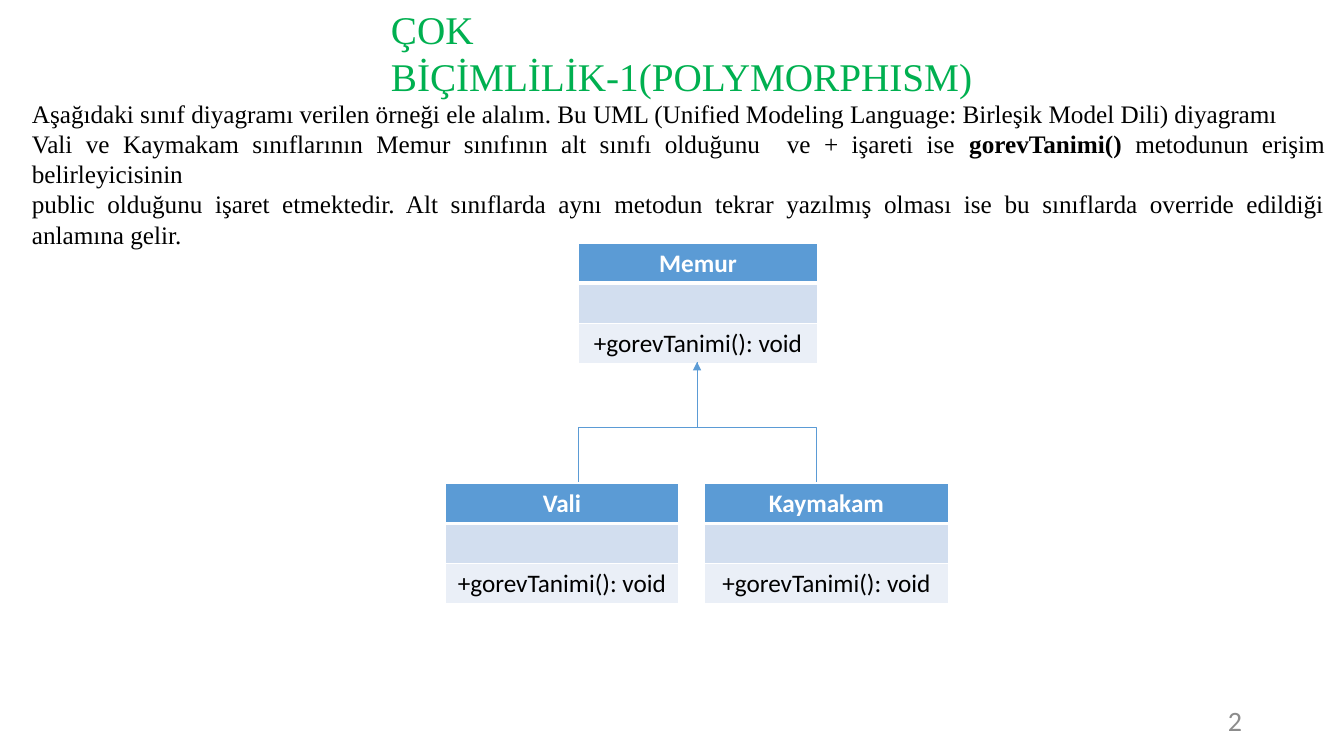
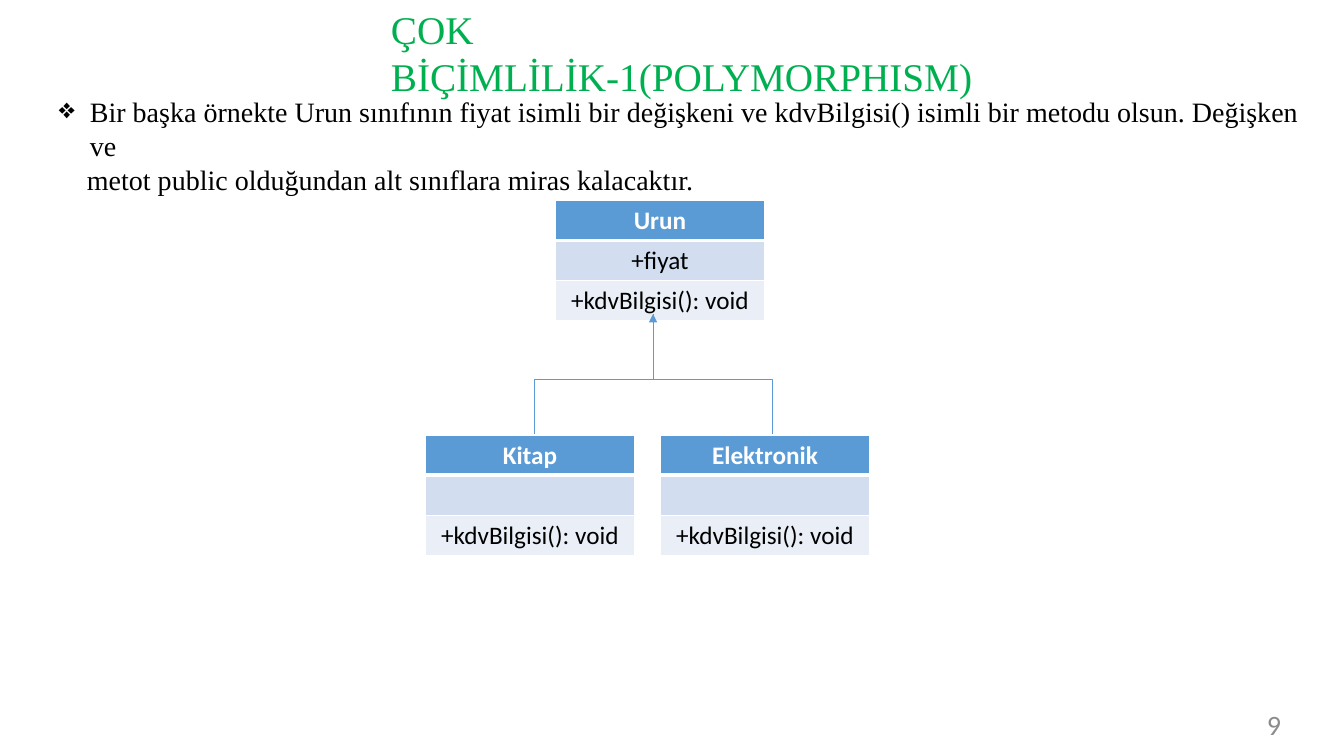
from pptx import Presentation
from pptx.dml.color import RGBColor
from pptx.enum.shapes import MSO_CONNECTOR
from pptx.enum.text import MSO_ANCHOR, PP_ALIGN
from pptx.oxml.ns import qn
from pptx.util import Emu, Pt
from lxml.etree import SubElement

PIXEL = 914400 / 100.8
SERIF, SANS = "Times New Roman", "Calibri"
COLORS = {
    "title": "00B050", "ink": "000000", "number": "8C8C8C", "white": "FFFFFF",
    "header": "5B9BD5", "attribute": "D2DEEF", "method": "EAEFF7",
}
ROW_FILLS = ("header", "attribute", "method")
ROW_HEIGHT = 40
BULLET_INDENT = 31
BOLD_MARK = "**"


def px(pixels):
    return Emu(round(pixels * PIXEL))


def rgb(name):
    return RGBColor.from_string(COLORS[name])


def write(frame, *paragraphs, font=SERIF, size=18, color="ink", bold=False,
          align=PP_ALIGN.LEFT, anchor=MSO_ANCHOR.TOP):
    frame.word_wrap = True
    frame.vertical_anchor = anchor
    for index, content in enumerate(paragraphs):
        paragraph = frame.add_paragraph() if index else frame.paragraphs[0]
        paragraph.alignment = align
        for part, words in enumerate(content.split(BOLD_MARK)):
            run = paragraph.add_run()
            run.text = words
            run.font.name, run.font.size = font, Pt(size)
            run.font.bold = bold or part % 2 == 1
            run.font.color.rgb = rgb(color)
    return frame


def add_text(slide, box, *paragraphs, **style):
    area = slide.shapes.add_textbox(*map(px, box))
    return write(area.text_frame, *paragraphs, **style)


def indent(paragraph, left, first=0, bullet=None):
    properties = paragraph._p.get_or_add_pPr()
    properties.set("marL", str(px(left)))
    properties.set("indent", str(px(first)))
    if bullet:
        SubElement(properties, qn("a:buChar"), char=bullet)


def add_borders(cell, bottom):
    properties = cell._tc.get_or_add_tcPr()
    for side, width in (("L", 1), ("R", 1), ("T", 1), ("B", bottom)):
        edge = SubElement(properties, qn(f"a:ln{side}"), w=str(Pt(width)))
        paint = SubElement(edge, qn("a:solidFill"))
        SubElement(paint, qn("a:srgbClr"), val=COLORS["white"])


def add_class(slide, left, top, width, name, attribute, method):
    box = map(px, (left, top, width, ROW_HEIGHT * 3))
    table = slide.shapes.add_table(3, 1, *box).table
    for row, (words, fill) in enumerate(zip((name, attribute, method), ROW_FILLS)):
        heading = row == 0
        cell = table.cell(row, 0)
        add_borders(cell, 3 if heading else 1)
        cell.fill.solid()
        cell.fill.fore_color.rgb = rgb(fill)
        if words:
            write(cell.text_frame, words, font=SANS, bold=heading,
                  color="white" if heading else "ink", align=PP_ALIGN.CENTER)


def add_inheritance(slide, start, tip, arrow=False):
    (start_x, start_y), (tip_x, tip_y) = start, tip
    center_x, center_y = (start_x + tip_x) / 2, (start_y + tip_y) / 2
    rise, run = (start_y - tip_y) / 2, abs(tip_x - start_x) / 2
    side = 1 if start_x < tip_x else -1
    ends = (center_x + side * rise, center_y + run,
            center_x - side * rise, center_y - run)
    link = slide.shapes.add_connector(MSO_CONNECTOR.ELBOW, *map(px, ends))
    link.line.color.rgb = rgb("header")
    link.line.width = Pt(0.5)
    properties = link._element.spPr
    quarter_turns = 1 if side == 1 else 3
    properties.find(qn("a:xfrm")).set("rot", str(quarter_turns * 5400000))
    if arrow:
        SubElement(link.line._get_or_add_ln(), qn("a:tailEnd"), type="triangle")
    SubElement(properties, qn("a:effectLst"))


def add_hierarchy(slide, parent, children, tip, reach):
    add_class(slide, *parent)
    tip_x, tip_y = tip
    for side in (-1, 1):
        start = (tip_x + side * reach, tip_y + 131)
        add_inheritance(slide, start, tip, arrow=side == -1)
    for child in children:
        add_class(slide, *child)


def add_page(deck, number, number_left, number_top):
    slide = deck.slides.add_slide(deck.slide_layouts[6])
    add_text(slide, (381, 0, 680, 58), "ÇOK BİÇİMLİLİK-1(POLYMORPHISM)",
             size=28, color="title")
    add_text(slide, (number_left, number_top, 302, 40), number, font=SANS,
             size=20, color="number", align=PP_ALIGN.RIGHT,
             anchor=MSO_ANCHOR.MIDDLE)
    return slide


def add_officials(deck):
    slide = add_page(deck, "2", 950, 700)
    add_text(
        slide, (22, 93, 1313, 102),
        "Aşağıdaki sınıf diyagramı verilen örneği ele alalım. Bu UML (Unified "
        "Modeling Language: Birleşik Model Dili) diyagramı ",
        "Vali ve Kaymakam sınıflarının Memur sınıfının alt sınıfı olduğunu  ve + "
        "işareti ise **gorevTanimi() **metodunun erişim belirleyicisinin",
        "public olduğunu işaret etmektedir. Alt sınıflarda aynı metodun tekrar "
        "yazılmış olması ise bu sınıflarda override edildiği anlamına gelir.",
        align=PP_ALIGN.JUSTIFY)
    method = "+gorevTanimi(): void"
    add_hierarchy(
        slide, (578, 243, 240, "Memur", "", method),
        [(445, 483, 234, "Vali", "", method),
         (704, 483, 245, "Kaymakam", "", method)],
        tip=(697, 362), reach=119)


def add_products(deck):
    slide = add_page(deck, "9", 989, 704)
    body = add_text(
        slide, (49, 90, 1266, 78),
        "Bir başka örnekte Urun sınıfının fiyat isimli bir değişkeni ve "
        "kdvBilgisi() isimli bir metodu olsun. Değişken ve",
        "metot public olduğundan alt sınıflara miras kalacaktır.", size=20)
    indent(body.paragraphs[0], BULLET_INDENT, -BULLET_INDENT, "❖")
    indent(body.paragraphs[1], 28)
    method = "+kdvBilgisi(): void"
    add_hierarchy(
        slide, (555, 200, 210, "Urun", "+fiyat", method),
        [(left, 435, 210, name, "", method)
         for left, name in ((425, "Kitap"), (660, "Elektronik"))],
        tip=(653, 314), reach=119)


def main():
    deck = Presentation()
    deck.slide_width, deck.slide_height = px(1344), px(756)
    add_officials(deck)
    add_products(deck)
    deck.save("out.pptx")


main()
